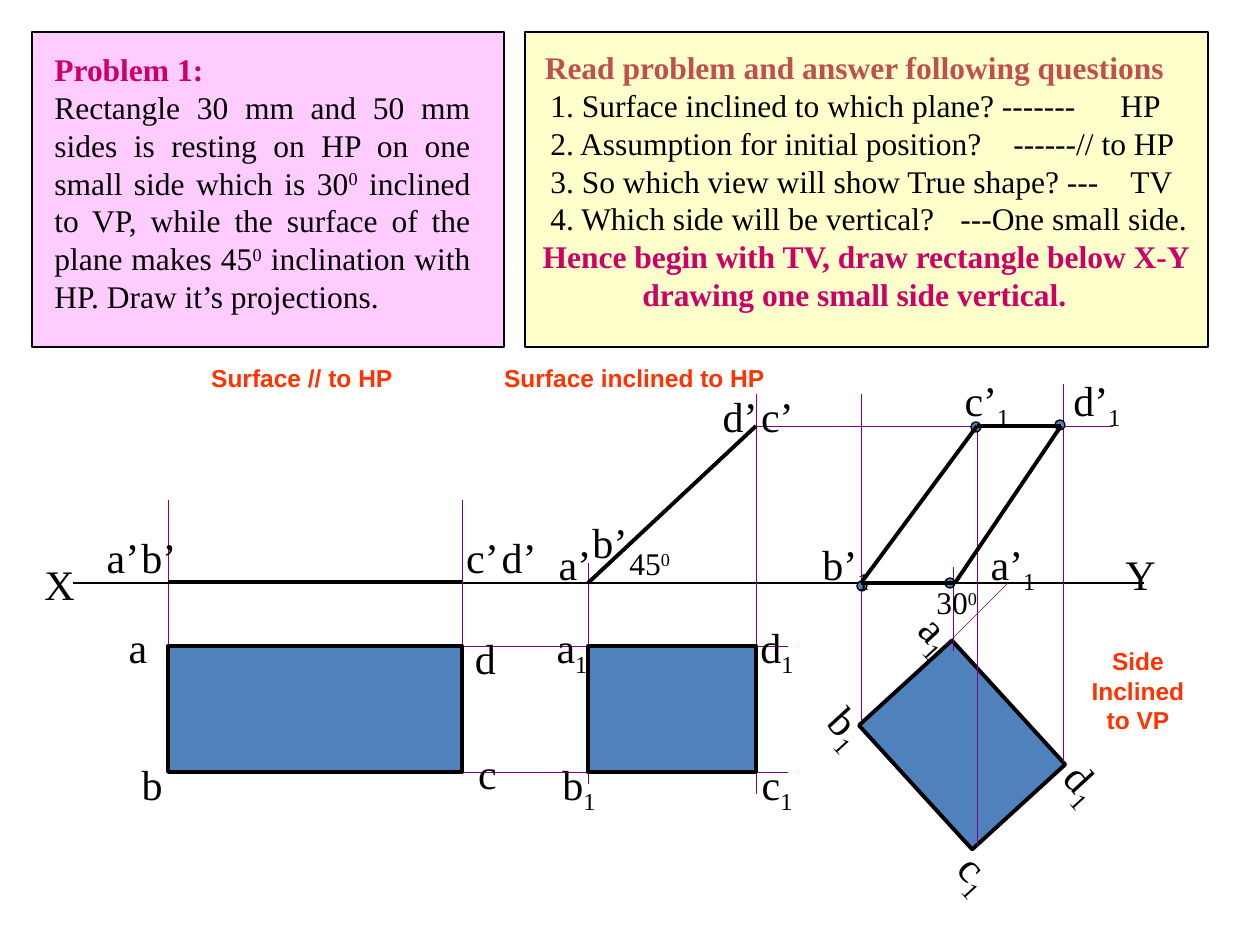
"""Build the slide on projections of an inclined rectangle."""
from lxml import etree
from pptx import Presentation
from pptx.dml.color import RGBColor
from pptx.enum.shapes import MSO_CONNECTOR, MSO_SHAPE
from pptx.enum.text import PP_ALIGN
from pptx.oxml.ns import qn
from pptx.util import Pt

PIXEL = 914400 / 126
STRAIGHT = MSO_CONNECTOR.STRAIGHT
RECTANGLE, OVAL = MSO_SHAPE.RECTANGLE, MSO_SHAPE.OVAL
LEFT, CENTER, JUSTIFY = PP_ALIGN.LEFT, PP_ALIGN.CENTER, PP_ALIGN.JUSTIFY
BLACK = RGBColor(0x00, 0x00, 0x00)
BLUE = RGBColor(0x4F, 0x81, 0xBD)
PURPLE = RGBColor(0x80, 0x00, 0x80)
PINK = RGBColor(0xFF, 0xCC, 0xFF)
CREAM = RGBColor(0xFF, 0xFF, 0xCC)
MAGENTA = RGBColor(0xCC, 0x00, 0x66)
BRICK = RGBColor(0xC0, 0x50, 0x4D)
ORANGE = RGBColor(0xFF, 0x33, 0x00)
SERIF, SANS = "Times New Roman", "Arial"
BASELINES = {"_": "-25000", "^": "30000"}


def emu(*pixels):
    return [round(pixel * PIXEL) for pixel in pixels]


def add_text(box, lines, wrap=False, align=CENTER, **changes):
    """Write lines in which _ lowers and ^ raises the next character."""
    frame = slide.shapes.add_textbox(*emu(*box)).text_frame
    frame.word_wrap = wrap
    for index, line in enumerate(lines):
        paragraph = frame.paragraphs[0] if index == 0 else frame.add_paragraph()
        paragraph.alignment = align
        pieces = line.replace("_", "|_").replace("^", "|^").split("|")
        for piece in pieces:
            mark = BASELINES.get(piece[0])
            parts = [(piece[1], mark), (piece[2:], None)] if mark else [(piece, None)]
            for text, baseline in parts:
                if not text:
                    continue
                run = paragraph.add_run()
                run.text = text
                run.font.color.rgb = changes.get("color", BLACK)
                font_values = {"name": SERIF, "size": Pt(18), "bold": False}
                font_values.update(changes.get("font", {}))
                for name, value in font_values.items():
                    setattr(run.font, name, value)
                if baseline:
                    run.font._element.set("baseline", baseline)
    return frame


presentation = Presentation()
presentation.slide_width, presentation.slide_height = emu(1260, 945)
slide = presentation.slides.add_slide(presentation.slide_layouts[6])

GROUND, RAISED = 583, 426
hidden_guides = [
    (168, 646, 168, 500), (462, 646, 462, 500), (588, 563, 588, 784),
    (756, 394, 756, 794), (462, 646, 788, 646), (462, 772, 788, 772),
]
guides = [
    (945, 646, 1008, GROUND), (861, 721, 861, 394), (977, 847, 977, RAISED),
    (1063, 762, 1063, 384), (756, RAISED, 1113, RAISED), (953, 651, 953, 567),
]
edges = [
    (168, 582, 462, 582), (588, GROUND, 756, RAISED),
    (977, RAISED, 861, GROUND), (1061, RAISED, 955, GROUND),
    (861, GROUND, 955, GROUND), (977, RAISED, 1061, RAISED),
]
dots = [(857, 581), (945, 578), (971, 422), (1055, 420)]

panels = [(RECTANGLE, (32, 32, 472, 315), 0, PINK, 0.75),
          (RECTANGLE, (525, 32, 683, 315), 0, CREAM, 0.75)]
views = [(RECTANGLE, (168, 646, 294, 126), 0, BLUE, 2.25),
         (RECTANGLE, (588, 646, 168, 126), 0, BLUE, 2.25),
         (RECTANGLE, (878, 682, 168, 126), 47.6, BLUE, 2.25)]
points = [(OVAL, (x, y, 10, 10), 0, BLUE, 0.75) for x, y in dots]

drawing_layers = [
    ([(73, GROUND, 1144, GROUND)], BLACK, 0.75, []),
    (hidden_guides, PURPLE, 0.25, panels + views),
    (guides, PURPLE, 0.25, points),
    (edges, BLACK, 2.25, []),
]
for lines, color, weight, shapes in drawing_layers:
    for ends in lines:
        connector = slide.shapes.add_connector(STRAIGHT, *emu(*ends))
        connector.line.color.rgb = color
        connector.line.width = Pt(weight)
        etree.SubElement(connector._element.spPr, qn("a:effectLst"))
    for kind, box, rotation, fill, outline in shapes:
        shape = slide.shapes.add_shape(kind, *emu(*box))
        shape.shadow.inherit = False
        shape.rotation = rotation
        shape.fill.solid()
        shape.fill.fore_color.rgb = fill
        shape.line.color.rgb = BLACK
        shape.line.width = Pt(outline)

point_labels = [
    ("X", 32, 552, 55), ("Y", 1113, 542, 55),
    ("a", 116, 615, 44), ("b", 105, 752, 94), ("c", 451, 741, 73), ("d", 462, 626, 47),
    ("a’", 94, 525, 58), ("b’", 129, 525, 60), ("c’", 451, 525, 63), ("d’", 472, 525, 94),
    ("a’", 546, 532, 58), ("b’", 580, 510, 60), ("d’", 693, 384, 94), ("c’", 746, 384, 63),
    ("a_1", 525, 615, 94), ("b_1", 549, 752, 60), ("c_1", 735, 752, 84), ("d_1", 651, 615, 252),
    ("c’_1", 945, 368, 84), ("d’_1", 1050, 368, 94),
    ("b’_1", 809, 532, 74), ("a’_1", 966, 532, 94),
]
for text, left, top, width in point_labels:
    add_text((left, top, width, 63), [text], font={"size": Pt(24)})

tilted_labels = [("a_1", 906, 601, 66), ("b_1", 819, 694, 60),
                 ("c_1", 936, 840, 84), ("d_1", 1051, 750, 69)]
for text, left, top, width in tilted_labels:
    frame = add_text((left, top, width, 63), [text], font={"size": Pt(24)})
    slide.shapes[-1].rotation = 47.6

for text, left, top, width in [("45^0", 617, 538, 105), ("30^0", 924, 577, 84)]:
    add_text((left, top, width, 50), [text], wrap=True, align=LEFT)

captions = [((198, 357, 208, 43), ["Surface // to HP"]),
            ((491, 357, 287, 43), ["Surface inclined to HP"]),
            ((1079, 640, 118, 102), ["Side", "Inclined", "to VP"])]
for box, lines in captions:
    add_text(box, lines, color=ORANGE, font={"name": SANS, "size": Pt(14), "bold": True})

problem = add_text((42, 44, 441, 277), [
    "Problem 1:",
    "Rectangle 30 mm and 50 mm sides is resting on HP on one small side which is 30^0 inclined "
    "to VP, while the surface of the plane makes 45^0 inclination with HP. Draw it’s projections.",
], wrap=True, align=JUSTIFY)
questions = add_text((496, 42, 717, 277), [
    "Read problem and answer following questions",
    "\t1. Surface inclined to which plane? -------\tHP",
    "\t2. Assumption for initial position?\t------// to HP",
    "\t3. So which view will show True shape? ---\tTV",
    "\t4. Which side will be vertical?\t---One small side.",
    "Hence begin with TV, draw rectangle below X-Y",
    "drawing one small side vertical.",
], wrap=True)

QUESTION_STOP = 42
for paragraph, answer_stop in zip(questions.paragraphs[1:5], (612, 505, 622, 452)):
    paragraph.alignment = LEFT
    tab_list = etree.SubElement(paragraph._p.get_or_add_pPr(), qn("a:tabLst"))
    for stop in emu(QUESTION_STOP, answer_stop):
        etree.SubElement(tab_list, qn("a:tab"), pos=str(stop), algn="l")
questions.paragraphs[5]._p.get_or_add_pPr().set("marL", str(emu(24)[0]))

emphasis = [(problem.paragraphs[0], MAGENTA), (questions.paragraphs[0], BRICK),
            (questions.paragraphs[5], MAGENTA), (questions.paragraphs[6], MAGENTA)]
for paragraph, color in emphasis:
    for run in paragraph.runs:
        run.font.bold = True
        run.font.color.rgb = color

presentation.save("out.pptx")
